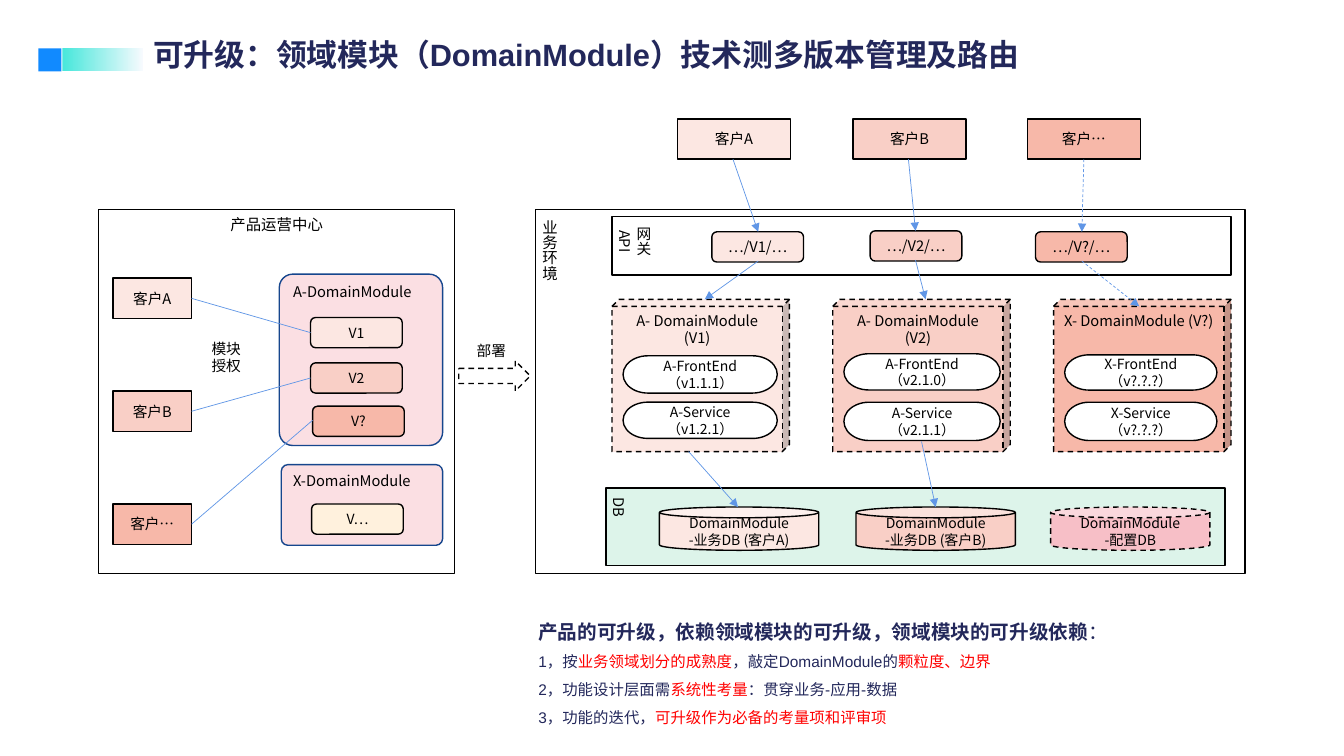
"""Slide on version management and routing of upgradable domain modules."""
from lxml import etree
from pptx import Presentation, util as u
from pptx.dml.color import RGBColor
from pptx.enum import dml, shapes, text
from pptx.oxml.ns import qn

PX = 9144
CJK = "Noto Sans CJK SC"
BLACK = RGBColor(0x00, 0x00, 0x00)
WHITE = RGBColor(0xFF, 0xFF, 0xFF)
NAVY = RGBColor(0x23, 0x28, 0x5B)
RED = RGBColor(0xFF, 0x00, 0x00)
ROUTE = RGBColor(0x60, 0x96, 0xE6)
MODULE_EDGE = RGBColor(0x16, 0x46, 0x8D)
MODULE = RGBColor(0xFB, 0xDF, 0xE3)
CREAM = RGBColor(0xFF, 0xF1, 0xDD)
MINT = RGBColor(0xDD, 0xF4, 0xEA)
PINK = RGBColor(0xF7, 0xBF, 0xC7)
BLUE = RGBColor(0x11, 0x8A, 0xFF)
TEAL = RGBColor(0x47, 0xE7, 0xDB)
MIST = RGBColor(0xF7, 0xFA, 0xFE)
TINTS = [RGBColor(0xFC, 0xE7, 0xE2), RGBColor(0xF9, 0xCF, 0xC6), RGBColor(0xF7, 0xB8, 0xA9)]
KIND = shapes.MSO_SHAPE
ANCHOR = text.MSO_ANCHOR
CENTER = text.PP_ALIGN.CENTER

prs = Presentation()
prs.slide_width, prs.slide_height = u.Emu(1333 * PX), u.Emu(750 * PX)
slide = prs.slides.add_slide(prs.slide_layouts[6])


def write(frame, paragraphs, align=None, spacing=None):
    """Fill a frame with paragraphs of (words, size, font, colour, bold) runs."""
    for i, runs in enumerate(paragraphs):
        paragraph = frame.add_paragraph() if i else frame.paragraphs[0]
        paragraph.alignment = align
        paragraph.line_spacing = spacing
        for words, size, font, colour, bold in runs:
            run = paragraph.add_run()
            run.text = words
            run.font.size = u.Pt(size)
            run.font.name = font
            run.font.color.rgb = colour
            run.font.bold = bold


def box(kind, place, fill, label="", size=10.5, anchor=ANCHOR.MIDDLE, align=CENTER,
        edge=BLACK, dashed=False, vertical=False, adjust=None):
    """Add one labelled shape; line breaks in the label split paragraphs."""
    shape = slide.shapes.add_shape(kind, *(v * PX for v in place))
    shape.shadow.inherit = False
    shape.fill.solid()
    shape.fill.fore_color.rgb = fill
    if edge is None:
        shape.line.fill.background()
    else:
        shape.line.color.rgb = edge
        shape.line.width = u.Pt(1)
    if dashed:
        shape.line.dash_style = dml.MSO_LINE.DASH
    if adjust is not None:
        shape.adjustments[0] = adjust
    frame = shape.text_frame
    frame.word_wrap = True
    frame.vertical_anchor = anchor
    if vertical:
        shape.element.txBody.bodyPr.set("vert", "eaVert")
    if label:
        write(frame, [[(part, size, CJK, BLACK, False)] for part in label.split("\n")], align)
    return shape


box(KIND.RECTANGLE, (38, 48, 23, 23), BLUE, edge=None)
fade = box(KIND.RECTANGLE, (62, 48, 80, 23), TEAL, edge=None)
fade.fill.gradient()
fade.fill.gradient_angle = 0
for stop, colour in zip(fade.fill.gradient_stops, (TEAL, MIST)):
    stop.color.rgb = colour

for place, label, size in [((531, 208, 704, 361), "业务环境", 11),
                           ((607, 215, 614, 58), "网关API", 10.5)]:
    box(KIND.RECTANGLE, place, WHITE, label, size, ANCHOR.BOTTOM, vertical=True)
box(KIND.RECTANGLE, (601, 484, 614, 77), MINT, "DB", anchor=ANCHOR.BOTTOM, vertical=True)
box(KIND.RECTANGLE, (98, 208, 353, 361), WHITE, "产品运营中心", 11, ANCHOR.TOP)

for left, top, height, label in [(277, 272, 170, "A-DomainModule"),
                                 (279, 461, 80, "X-DomainModule")]:
    box(KIND.ROUNDED_RECTANGLE, (left, top, 439 - left, height), MODULE, label,
        anchor=ANCHOR.TOP, align=None, edge=MODULE_EDGE, adjust=0.082)
box(KIND.ROUNDED_RECTANGLE, (309, 500, 91, 30), CREAM, "V…", 10)

customers = ["客户A", "客户B", "客户…"]
versions = [("V1", 308, 315), ("V2", 308, 360), ("V?", 310, 403)]
routes = [("…/V1/…", 706, 230), ("…/V2/…", 863, 229), ("…/V?/…", 1027, 230)]
modules = ["A- DomainModule (V1)", "A- DomainModule (V2)", "X- DomainModule (V?)"]
for i, tint in enumerate(TINTS):
    box(KIND.RECTANGLE, (672 + round(173.5 * i), 118, 112, 40), tint, customers[i])
    box(KIND.RECTANGLE, (112, 276 + 112 * i, 78, 40), tint, customers[i])
    version, left, top = versions[i]
    box(KIND.ROUNDED_RECTANGLE, (left, top, 91, 30), tint, version, 10)
    route, left, top = routes[i]
    box(KIND.ROUNDED_RECTANGLE, (left, top, 91, 30), tint, route)
    box(KIND.CUBE, (607 + 219 * i, 297, 176, 151), tint, modules[i],
        anchor=ANCHOR.TOP, dashed=True, adjust=0.046)

for place, label in [((618, 353, 153, 37), "A-FrontEnd（v1.1.1）"),
                     ((618, 399, 153, 36), "A-Service\n（v1.2.1）"),
                     ((837, 351, 155, 36), "A-FrontEnd（v2.1.0）"),
                     ((837, 399, 155, 38), "A-Service\n（v2.1.1）"),
                     ((1056, 352, 151, 35), "X-FrontEnd（v?.?.?）"),
                     ((1056, 399, 151, 38), "X-Service\n（v?.?.?）")]:
    box(KIND.FLOWCHART_TERMINATOR, place, WHITE, label, 10)

for left, fill, store, dashed in [(654, TINTS[0], "-业务DB (客户A)", False),
                                  (849, TINTS[1], "-业务DB (客户B)", False),
                                  (1042, PINK, "-配置DB", True)]:
    box(KIND.CAN, (left, 503, 158, 43), fill, "DomainModule\n" + store, 10, dashed=dashed)

box(KIND.RIGHT_ARROW, (455, 358, 71, 30), WHITE, dashed=True)

for ends, arrow, dashed in [((727, 158, 752, 230), True, False),
                            ((752, 259, 699, 297), True, False),
                            ((683, 448, 732, 503), True, False),
                            ((901, 158, 908, 229), True, False),
                            ((908, 258, 918, 297), True, False),
                            ((914, 438, 928, 503), True, False),
                            ((1075, 158, 1073, 230), True, True),
                            ((1073, 259, 1130, 304), True, True),
                            ((190, 296, 308, 330), False, False),
                            ((190, 408, 308, 375), False, False),
                            ((190, 520, 310, 417), False, False)]:
    link = slide.shapes.add_connector(shapes.MSO_CONNECTOR.STRAIGHT, *(v * PX for v in ends))
    link.line.color.rgb = ROUTE
    link.line.width = u.Pt(0.5)
    if dashed:
        link.line.dash_style = dml.MSO_LINE.DASH
    outline = link.element.spPr
    if arrow:
        etree.SubElement(outline.find(qn("a:ln")), qn("a:tailEnd"), type="triangle")
    etree.SubElement(outline, qn("a:effectLst"))

title = [[("可升级：领域模块（DomainModule）技术测多版本管理及路由", 22, "Arial", NAVY, True)]]
deploy = [[("部署", 10.5, "Arial", BLACK, False)]]
licence = [[(words, 10.5, "Arial", BLACK, False)] for words in ("模块", "授权")]
points = [
    [("1，按", NAVY), ("业务领域划分的成熟度", RED), ("，敲定DomainModule的", NAVY), ("颗粒度、边界", RED)],
    [("2，功能设计层面需", NAVY), ("系统性考量", RED), ("：贯穿业务-应用-数据", NAVY)],
    [("3，功能的迭代，", NAVY), ("可升级作为必备的考量项和评审项", RED)],
]
summary = [[("产品的可升级，依赖领域模块的可升级，领域模块的可升级依赖", 14, "Arial", NAVY, True),
            ("：", 14, "Arial", NAVY, False)]]
summary += [[(words, 11, "Arial", colour, False) for words, colour in point] for point in points]
for place, paragraphs, wrap, spacing in [((142, 31, 974, 47), title, True, None),
                                         ((463, 334, 50, 28), deploy, False, None),
                                         ((200, 332, 50, 45), licence, False, None),
                                         ((524, 598, 609, 125), summary, True, 1.5)]:
    frame = slide.shapes.add_textbox(*(v * PX for v in place)).text_frame
    frame.word_wrap = wrap
    write(frame, paragraphs, spacing=spacing)

for properties in slide.element.iter(qn("a:rPr")):
    etree.SubElement(properties, qn("a:ea"), typeface=CJK)

prs.save("out.pptx")
